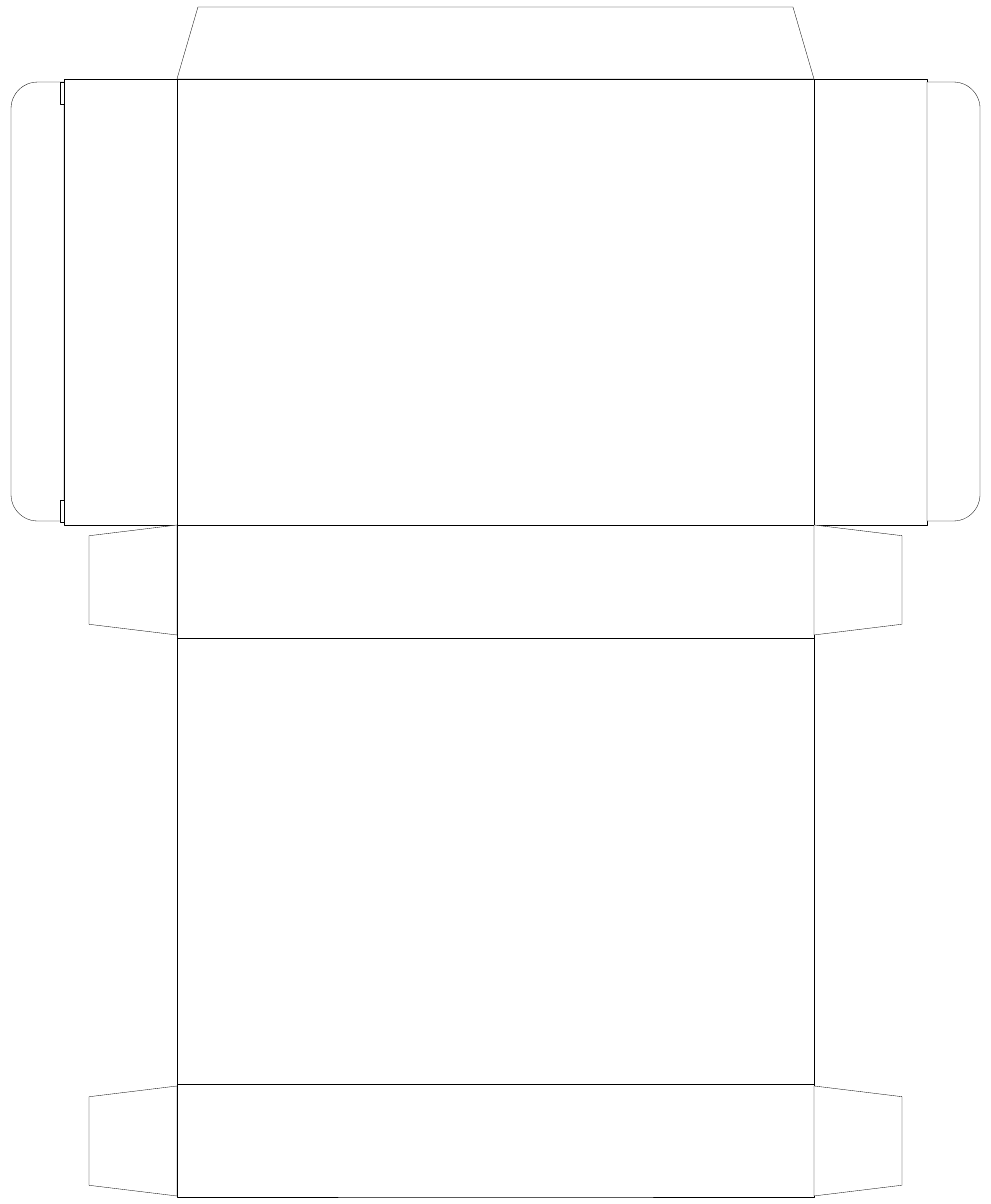
"""Build the flat cutting pattern of a folding box."""
import dataclasses
import pptx
import pptx.util
import pptx.dml.color
import pptx.enum.shapes


@dataclasses.dataclass(frozen=True)
class Theme:
    paper: str = "FFFFFF"
    ink: str = "000000"
    line: float = 0.25


theme = Theme()
kinds = pptx.enum.shapes.MSO_SHAPE
scale = 914400 / 89.9


def paint(shape):
    shape.shadow.inherit = False
    shape.fill.solid()
    shape.fill.fore_color.rgb = pptx.dml.color.RGBColor.from_string(theme.paper)
    shape.line.color.rgb = pptx.dml.color.RGBColor.from_string(theme.ink)
    shape.line.width = pptx.util.Pt(theme.line)


def place(kind, left, top, wide, high, turn=0, adjust=()):
    if turn:
        left, top = left + (wide - high) / 2, top + (high - wide) / 2
        wide, high = high, wide
    box = [round(v * scale) for v in (left, top, wide, high)]
    shape = group.shapes.add_shape(kind, *box)
    shape.rotation = turn
    for index, value in enumerate(adjust):
        shape.adjustments[index] = value
    paint(shape)


deck = pptx.Presentation()
deck.slide_width = round(991 * scale)
deck.slide_height = round(1204 * scale)
slide = deck.slides.add_slide(deck.slide_layouts[6])
group = slide.shapes.add_group_shape()

left, top = 177, 79
width, height, depth = 637, 446, 113
right = left + width
fold = top + height
base = fold + depth
front = base + height

pen = group.shapes.build_freeform(left, top, scale=scale)
pen.add_line_segments([(left + 21, 7), (right - 21, 7), (right, top)])
paint(pen.convert_to_shape())

for y, high in ((base, height), (fold, depth), (front, depth), (top, height)):
    place(kinds.RECTANGLE, left, y, width, high)
for x in (left - depth, right):
    place(kinds.RECTANGLE, x, top, depth, height)

ear = 88
for x, turn in ((left - ear, 270), (right, 90)):
    for y in (fold, front + 2):
        place(kinds.TRAPEZOID, x, y, ear, 110, turn, (0.122,))

tab = 53
for x, turn in ((left - depth - tab, 270), (right + depth, 90)):
    place(kinds.ROUND_2_SAME_RECTANGLE, x, top + 3, tab, 439, turn, (0.5, 0))

for y in (500, 82):
    place(kinds.RECTANGLE, 60, y, 4, 22)

deck.save("out.pptx")
